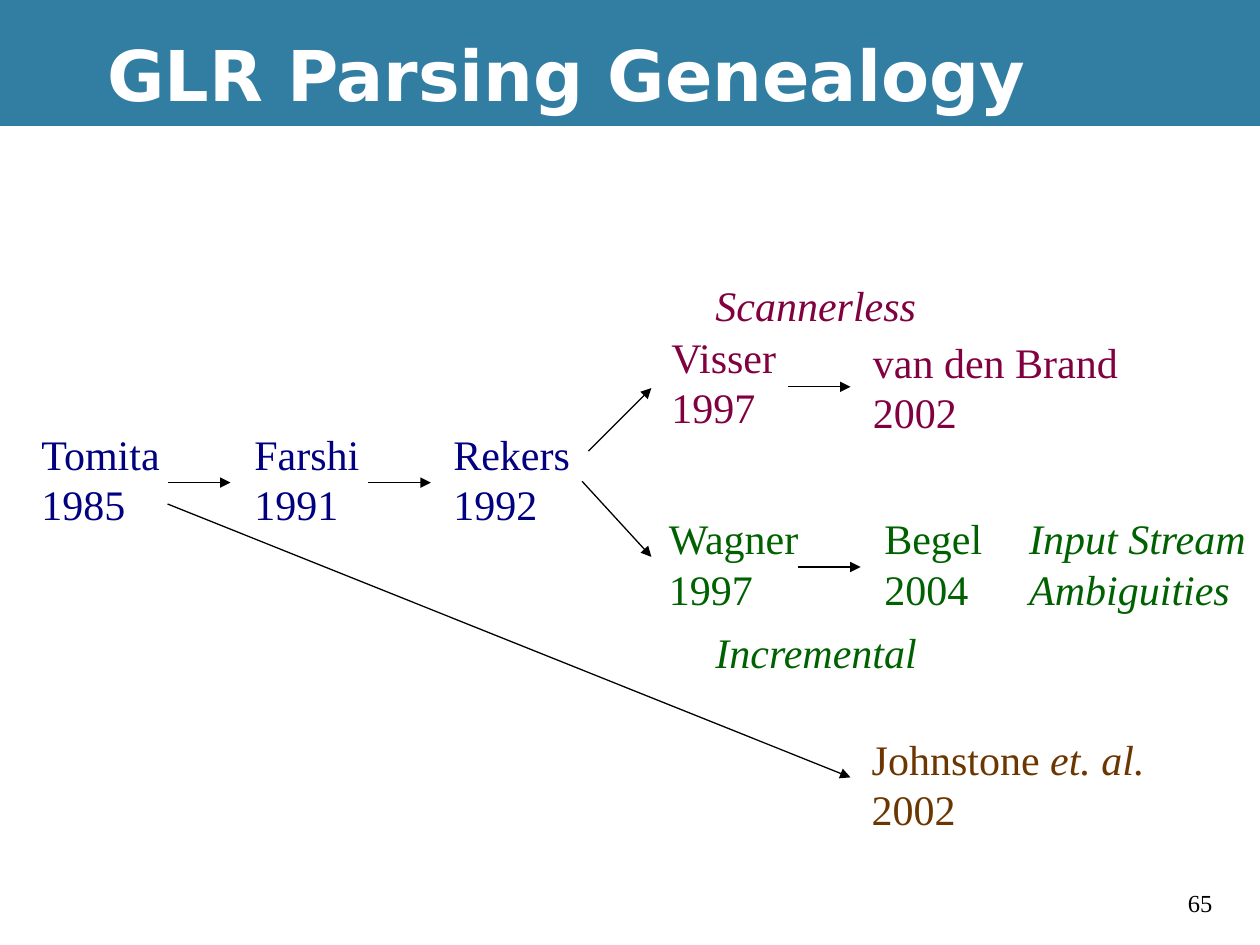
from typing import NamedTuple

from pptx import Presentation
from pptx.dml.color import RGBColor
from pptx.enum.shapes import MSO_CONNECTOR, MSO_SHAPE
from pptx.enum.text import MSO_ANCHOR, MSO_AUTO_SIZE, PP_ALIGN
from pptx.oxml.ns import qn
from pptx.util import Inches, Pt
from lxml import etree

RECTANGLE = MSO_SHAPE.RECTANGLE
STRAIGHT = MSO_CONNECTOR.STRAIGHT
MIDDLE = MSO_ANCHOR.MIDDLE
LEFT = PP_ALIGN.LEFT
NO_FIT = MSO_AUTO_SIZE.NONE
GROW = MSO_AUTO_SIZE.SHAPE_TO_FIT_TEXT

BLACK, WHITE, BAND_BLUE = "000000", "FFFFFF", "327EA3"
NAVY, GREEN, PLUM, BROWN = "000080", "006100", "800040", "6C3600"
SERIF, SANS = "Times New Roman", "DejaVu Sans"


class Label(NamedTuple):
    """A text box; a newline inside a paragraph is a line break."""
    left: float
    top: float
    width: float
    height: float
    color: str
    paragraphs: tuple[str, ...]
    italic: bool = False
    italic_tail: str = ""  # italic ending of the first paragraph
    size: int = 24
    wrap: bool = False


class Arrow(NamedTuple):
    start: tuple[float, float]
    end: tuple[float, float]


LABELS = [
    # Main line
    Label(0.23, 3.35, 1.16, 0.9, NAVY, ("Tomita\n1985",)),
    # Slightly wider than its text, so the line break stays on the first line
    Label(1.92, 3.35, 1.08, 0.9, NAVY, ("Farshi\n1991",), wrap=True),
    Label(3.5, 3.35, 1.13, 0.9, NAVY, ("Rekers\n1992",)),
    # Scannerless branch
    Label(5.58, 2.17, 1.79, 0.5, PLUM, ("Scannerless",), italic=True),
    Label(5.23, 2.58, 1.05, 0.9, PLUM, ("Visser\n1997",)),
    Label(6.83, 2.62, 2.15, 0.9, PLUM, ("van den Brand\n2002",)),
    # Incremental branch
    Label(5.21, 4.02, 1.26, 0.9, GREEN, ("Wagner", "1997")),
    Label(6.92, 4.02, 0.98, 0.9, GREEN, ("Begel\n2004",)),
    Label(8.07, 4.02, 1.93, 0.9, GREEN, ("Input Stream", "Ambiguities"), italic=True),
    Label(5.58, 4.92, 1.81, 0.5, GREEN, ("Incremental",), italic=True),
    # Separate branch
    Label(6.82, 5.77, 2.37, 0.9, BROWN, ("Johnstone ", "2002"), italic_tail="et. al."),
    # Page number
    Label(9.33, 7, 0.5, 0.33, BLACK, ("65",), size=14, wrap=True),
]

ARROWS = [
    Arrow((1.33, 3.83), (1.83, 3.83)),  # Tomita to Farshi
    Arrow((2.92, 3.83), (3.42, 3.83)),  # Farshi to Rekers
    Arrow((4.67, 3.58), (5.17, 3.08)),  # Rekers to Visser
    Arrow((4.62, 3.82), (5.17, 4.42)),  # Rekers to Wagner
    Arrow((6.25, 3.07), (6.75, 3.07)),  # Visser to van den Brand
    Arrow((6.33, 4.5), (6.83, 4.5)),    # Wagner to Begel
    Arrow((1.33, 4), (6.75, 6.17)),     # Tomita to Johnstone
]


def rgb(color: str) -> RGBColor:
    return RGBColor.from_string(color)


def add_text(para, text: str, *, size: int, color: str, font: str = SERIF,
             bold: bool = False, italic: bool = False) -> None:
    for index, line in enumerate(text.split("\n")):
        if index:
            para.add_line_break()
        span = para.add_run()
        span.text = line
        span.font.name = font
        span.font.size = Pt(size)
        span.font.bold = bold
        span.font.italic = italic
        span.font.color.rgb = rgb(color)


def add_band(page, top: float, height: float, color: str) -> None:
    band = page.shapes.add_shape(RECTANGLE, 0, Inches(top), Inches(10), Inches(height))
    band.shadow.inherit = False
    band.fill.solid()
    band.fill.fore_color.rgb = rgb(color)
    band.line.fill.background()


def add_label(page, label: Label) -> None:
    box = page.shapes.add_textbox(Inches(label.left), Inches(label.top),
                                  Inches(label.width), Inches(label.height))
    frame = box.text_frame
    frame.word_wrap = label.wrap
    frame.auto_size = GROW
    for index, text in enumerate(label.paragraphs):
        para = frame.add_paragraph() if index else frame.paragraphs[0]
        add_text(para, text, size=label.size, color=label.color, italic=label.italic)
    if label.italic_tail:
        add_text(frame.paragraphs[0], label.italic_tail,
                 size=label.size, color=label.color, italic=True)


def add_arrow(page, arrow: Arrow) -> None:
    points = [Inches(value) for value in arrow.start + arrow.end]
    connector = page.shapes.add_connector(STRAIGHT, *points)
    connector.line.color.rgb = rgb(BLACK)
    connector.line.width = Pt(0.75)
    properties = connector.element.spPr
    etree.SubElement(properties.find(qn("a:ln")), qn("a:tailEnd"), type="triangle")
    etree.SubElement(properties, qn("a:effectLst"))


def set_title(page, text: str) -> None:
    title = page.shapes.title
    title.left, title.top = Inches(0.75), Inches(0.08)
    title.width, title.height = Inches(9.25), Inches(1)
    frame = title.text_frame
    frame.word_wrap = True
    frame.auto_size = NO_FIT
    frame.vertical_anchor = MIDDLE
    para = frame.paragraphs[0]
    para.alignment = LEFT
    add_text(para, text, size=40, color=WHITE, font=SANS, bold=True)
    # Bring the title in front of the bands
    title.element.getparent().append(title.element)


def main() -> None:
    deck = Presentation()
    deck.slide_width, deck.slide_height = Inches(10), Inches(7.5)
    page = deck.slides.add_slide(deck.slide_layouts[5])

    # Background and title
    page.background.fill.solid()
    page.background.fill.fore_color.rgb = rgb(BLACK)
    add_band(page, 1, 6.5, WHITE)
    add_band(page, 0, 1, BAND_BLUE)
    set_title(page, "GLR Parsing Genealogy")

    # Genealogy
    for arrow in ARROWS:
        add_arrow(page, arrow)
    for label in LABELS:
        add_label(page, label)

    deck.save("out.pptx")


if __name__ == "__main__":
    main()
